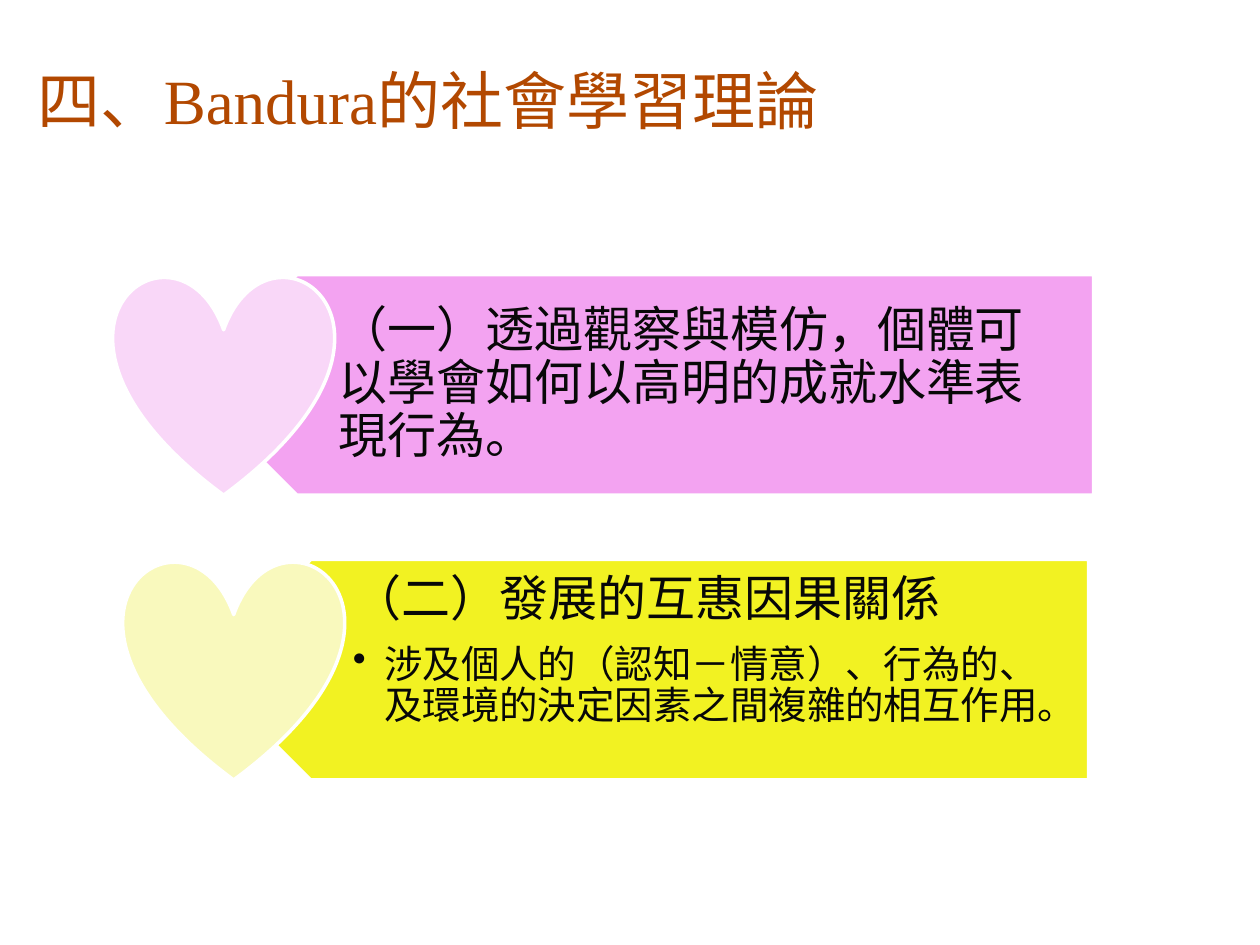
from pptx import Presentation
from pptx.dml.color import RGBColor
from pptx.enum.shapes import MSO_SHAPE
from pptx.enum.text import MSO_ANCHOR, MSO_AUTO_SIZE, PP_ALIGN
from pptx.oxml.ns import qn
from pptx.util import Inches, Pt
from lxml import etree

HEART, PLATE = MSO_SHAPE.HEART, MSO_SHAPE.PENTAGON
TOP, MID, LEFT = MSO_ANCHOR.TOP, MSO_ANCHOR.MIDDLE, PP_ALIGN.LEFT
WHITE = RGBColor(0xFF, 0xFF, 0xFF)
INK = RGBColor(0x08, 0x08, 0x08)
RUST = RGBColor(0xB2, 0x48, 0x00)
PINK = RGBColor(0xF3, 0xA3, 0xF1)
ROSE = RGBColor(0xF9, 0xD7, 0xF8)
YELLOW = RGBColor(0xF2, 0xF2, 0x22)
CREAM = RGBColor(0xF9, 0xF9, 0xBD)
HAN, ROMAN = "Noto Sans CJK SC", "Times New Roman"
SIDE = Inches(1.75)  # height of a band, and both sides of a heart


def style(para, size, color, latin=HAN):
    para.alignment = LEFT
    font = para.font
    font.size, font.name = Pt(size), latin
    font.color.rgb = color
    props = para._p.pPr.find(qn("a:defRPr"))
    etree.SubElement(props, qn("a:ea")).set("typeface", HAN)


def draw(kind, left, top, width, fill):
    shape = slide.shapes.add_shape(kind, Inches(left), Inches(top), Inches(width), SIDE)
    shape.shadow.inherit = False
    shape.fill.solid()
    shape.fill.fore_color.rgb = fill
    shape.line.color.rgb = WHITE
    shape.line.width = Pt(2)
    return shape


prs = Presentation()
prs.slide_width, prs.slide_height = Inches(10), Inches(7.5)
slide = prs.slides.add_slide(prs.slide_layouts[5])

title = slide.shapes.title
title.left, title.top = Inches(0.2), Inches(0.44)
title.width, title.height = Inches(6.51), Inches(1.3)
frame = title.text_frame
frame.text = "四、Bandura的社會學習理論"
frame.word_wrap = True
frame.auto_size = MSO_AUTO_SIZE.NONE
frame.vertical_anchor = TOP
style(frame.paragraphs[0], 36, RUST, ROMAN)

# band left, top, width, heart left, colours, anchor, heading, bullets
bands = [
    (1.48, 2.18, 7.2, 0.9, PINK, ROSE, MID,
     "（一）透過觀察與模仿，個體可以學會如何以高明的成就水準表現行為。", []),
    (1.59, 4.44, 7.05, 0.98, YELLOW, CREAM, TOP,
     "（二）發展的互惠因果關係",
     ["涉及個人的（認知－情意）、行為的、及環境的決定因素之間複雜的相互作用。"]),
]
for left, top, width, heart, fill, tint, anchor, head, points in bands:
    draw(PLATE, left, top, width, fill).rotation = 180

    inset = 0.44  # the text starts midway along the arrow tip
    box = slide.shapes.add_textbox(
        Inches(left + inset), Inches(top), Inches(width - inset), SIDE)
    frame = box.text_frame
    frame.word_wrap = True
    frame.vertical_anchor = anchor
    frame.margin_left, frame.margin_right = Inches(0.77), Inches(0.22)
    frame.margin_top = frame.margin_bottom = Inches(0.12)
    para = frame.paragraphs[0]
    para.text = head
    para.line_spacing, para.space_after = 0.9, Pt(10)
    style(para, 28, INK)

    for point in points:
        para = frame.add_paragraph()
        para.text, para.level = point, 1
        para.line_spacing, para.space_after = 0.9, Pt(3)
        props = para._p.get_or_add_pPr()
        props.set("marL", str(Inches(0.25)))
        props.set("indent", str(-Inches(0.25)))
        etree.SubElement(props, qn("a:buChar")).set("char", "•")
        style(para, 22, INK)

    draw(HEART, heart, top, 1.75, tint)

prs.save("out.pptx")
